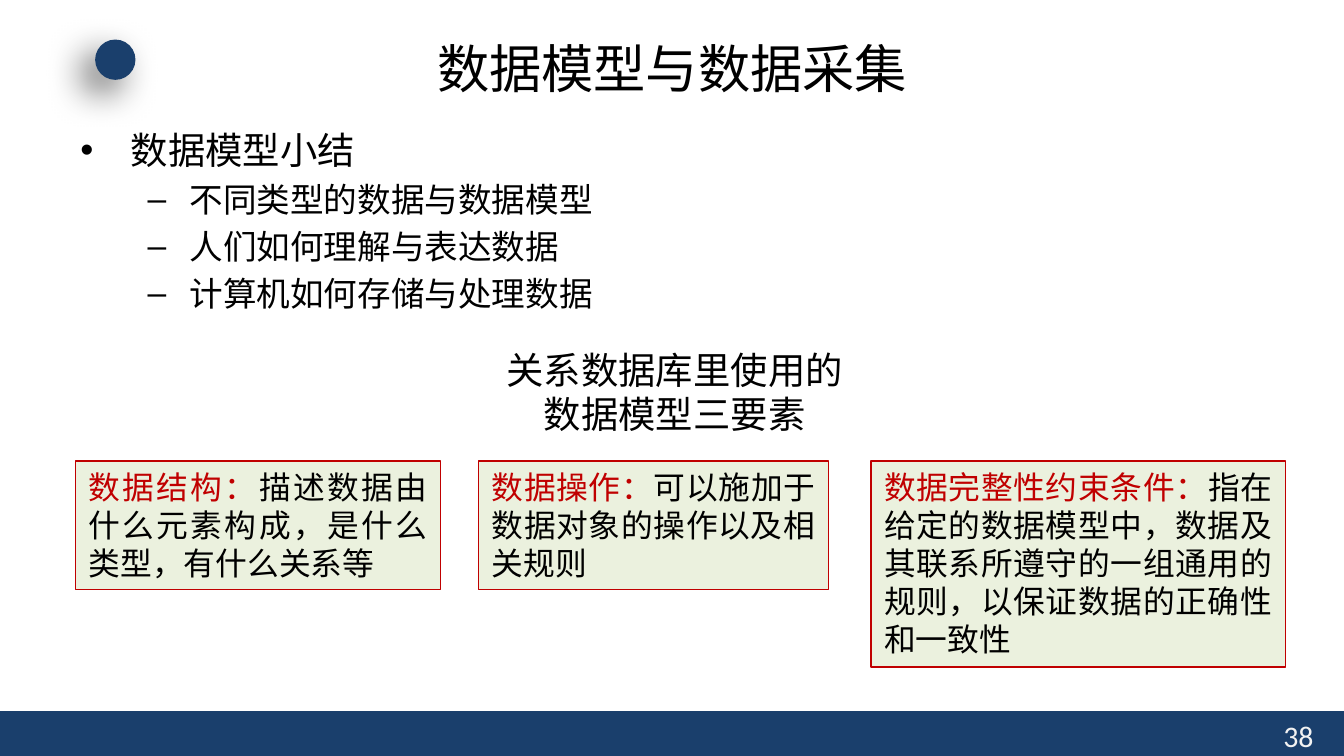
from typing import NamedTuple

from lxml.etree import SubElement
from pptx import Presentation
from pptx.dml.color import RGBColor
from pptx.enum.shapes import MSO_SHAPE as Preset
from pptx.enum.text import MSO_ANCHOR as Anchor, PP_ALIGN as Align
from pptx.oxml.ns import qn
from pptx.util import Pt

NAVY = RGBColor(0x1A, 0x3F, 0x6C)
RED = RGBColor(0xC0, 0x00, 0x00)
PALE_GREEN = RGBColor(0xEB, 0xF1, 0xDE)
BLACK = RGBColor(0x00, 0x00, 0x00)
NEAR_WHITE = RGBColor(0xF2, 0xF2, 0xF2)
LATIN, CJK = "Calibri", "Noto Sans CJK SC"


class Bounds(NamedTuple):
    left: float
    top: float
    width: float
    height: float


class Bullet(NamedTuple):
    mark: str
    margin: float
    hanging: float


class Point(NamedTuple):
    text: str
    size: float
    level: int
    bullet: Bullet


class Element(NamedTuple):
    term: str
    meaning: str
    bounds: Bounds


DOT = Bullet("•", 27, 27)
DASH = Bullet("–", 58.5, 22.5)
SUMMARY = [
    Point("数据模型小结", 20, 0, DOT),
    Point("不同类型的数据与数据模型", 18, 1, DASH),
    Point("人们如何理解与表达数据", 18, 1, DASH),
    Point("计算机如何存储与处理数据", 18, 1, DASH),
]
ELEMENTS = [
    Element("数据结构：", "描述数据由什么元素构成，是什么类型，有什么关系等",
            Bounds(40.3, 247, 195.8, 69)),
    Element("数据操作：", "可以施加于数据对象的操作以及相关规则",
            Bounds(256.3, 247, 187.5, 69)),
    Element("数据完整性约束条件：",
            "指在给定的数据模型中，数据及其联系所遵守的一组通用的规则，以保证数据的正确性和一致性",
            Bounds(466.6, 247, 222, 110.4)),
]


def in_points(bounds: Bounds) -> list:
    return [Pt(length) for length in bounds]


def add_panel(slide, preset, bounds: Bounds, fill: RGBColor, outline: RGBColor | None = None):
    panel = slide.shapes.add_shape(preset, *in_points(bounds))
    panel.shadow.inherit = False
    panel.fill.solid()
    panel.fill.fore_color.rgb = fill
    if outline is None:
        panel.line.fill.background()
    else:
        panel.line.color.rgb = outline
        panel.line.width = Pt(0.75)
    return panel


def add_frame(slide, bounds: Bounds, wrap: bool = True, anchor=Anchor.TOP):
    frame = slide.shapes.add_textbox(*in_points(bounds)).text_frame
    frame.word_wrap = wrap
    frame.vertical_anchor = anchor
    return frame


def write(frame, *pieces: tuple[str, RGBColor], size: float, font: str = LATIN,
          align=Align.LEFT, level: int = 0, bullet: Bullet | None = None) -> None:
    first = not frame.paragraphs[0].runs
    paragraph = frame.paragraphs[0] if first else frame.add_paragraph()
    paragraph.alignment = align
    paragraph.level = level
    if bullet:
        if not first:
            paragraph.space_before = Pt(size * 0.2)
        properties = paragraph._p.get_or_add_pPr()
        properties.set("marL", str(Pt(bullet.margin)))
        properties.set("indent", str(-Pt(bullet.hanging)))
        SubElement(properties, qn("a:buFont"), typeface="Arial")
        SubElement(properties, qn("a:buChar"), char=bullet.mark)
    for text, color in pieces:
        run = paragraph.add_run()
        run.text = text
        run.font.size = Pt(size)
        run.font.name = font
        run.font.color.rgb = color
        if font == CJK:
            SubElement(run.font._element, qn("a:ea"), typeface=font)


def cast_shadow(shape, blur: float, distance: float, angle: int, opacity: int) -> None:
    effects = shape._element.spPr.find(qn("a:effectLst"))
    shadow = SubElement(effects, qn("a:outerShdw"), blurRad=str(Pt(blur)), dist=str(Pt(distance)),
                        dir=str(angle * 60000), algn="ctr", rotWithShape="0")
    color = SubElement(shadow, qn("a:srgbClr"), val=str(BLACK))
    SubElement(color, qn("a:alpha"), val=str(opacity * 1000))


def main() -> None:
    """Build the data model summary slide."""
    deck = Presentation()
    deck.slide_width, deck.slide_height = Pt(720), Pt(405)
    slide = deck.slides.add_slide(deck.slide_layouts[6])

    add_panel(slide, Preset.RECTANGLE, Bounds(0, 381, 720, 24), NAVY)
    page_number = add_frame(slide, Bounds(680.4, 381, 36, 21.6))
    write(page_number, ("38", NEAR_WHITE), size=16)
    ball = add_panel(slide, Preset.OVAL, Bounds(51, 21.2, 21.6, 21.6), NAVY)
    cast_shadow(ball, blur=20, distance=10, angle=135, opacity=60)

    title = add_frame(slide, Bounds(36, 16.5, 648, 39.6), anchor=Anchor.MIDDLE)
    write(title, ("数据模型与数据采集", BLACK), size=28, font=CJK, align=Align.CENTER)

    summary = add_frame(slide, Bounds(36, 64.8, 648, 310.3))
    for point in SUMMARY:
        write(summary, (point.text, BLACK), size=point.size, font=CJK,
              level=point.level, bullet=point.bullet)

    heading = add_frame(slide, Bounds(263.2, 182.2, 196.6, 55.4), wrap=False)
    for line in ("关系数据库里使用的", "数据模型三要素"):
        write(heading, (line, BLACK), size=20, align=Align.CENTER)

    for element in ELEMENTS:
        box = add_panel(slide, Preset.RECTANGLE, element.bounds, PALE_GREEN, RED).text_frame
        box.word_wrap = True
        box.vertical_anchor = Anchor.TOP
        write(box, (element.term, RED), (element.meaning, BLACK), size=17, align=Align.JUSTIFY)

    deck.save("out.pptx")


if __name__ == "__main__":
    main()
